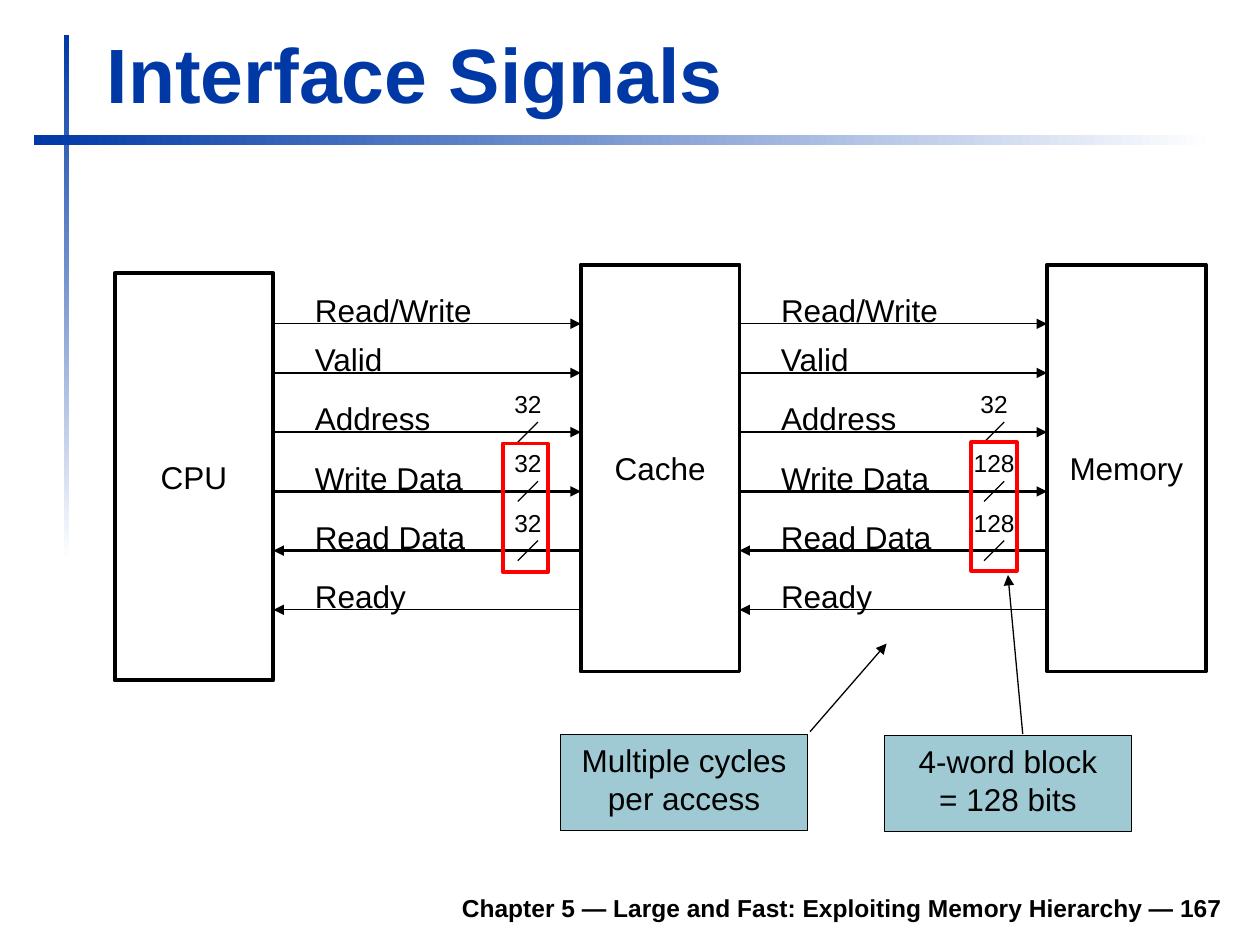
from lxml.etree import SubElement
from pptx import Presentation
from pptx.dml.color import RGBColor
from pptx.enum.shapes import MSO_CONNECTOR as Connector, MSO_SHAPE as Shape
from pptx.enum.text import MSO_ANCHOR as Anchor, MSO_AUTO_SIZE as AutoSize, PP_ALIGN as Align
from pptx.oxml.ns import qn
from pptx.util import Inches, Pt

BLACK, BLUE, WHITE, RED, TEAL = "000000", "0039A6", "FFFFFF", "FF0000", "9FCAD3"

# Grid: blocks stand one pitch apart, buses run in the gaps between them
LEFT, PITCH = 0.91, 3.7
BLOCK_WIDTH, BLOCK_HEIGHT = 1.26, 3.23
BUS_LENGTH = PITCH - BLOCK_WIDTH
VALID_Y, ROW_STEP = 2.96, 0.47

# Name, label width, distance from the Valid row in rows, arrow end, is a wide bus
SIGNALS = [
    ("Read/Write", 1.45, -0.83, "tail", False),
    ("Valid", 0.76, 0, "tail", False),
    ("Address", 1.12, 1, "tail", True),
    ("Write Data", 1.38, 2, "tail", True),
    ("Read Data", 1.4, 3, "head", True),
    ("Ready", 0.92, 4, "head", False),
]
BUS_WIDTHS = [
    {"Address": "32", "Write Data": "32", "Read Data": "32"},
    {"Address": "32", "Write Data": "128", "Read Data": "128"},
]


def color(value):
    return RGBColor.from_string(value)


def write(shape, lines, size, align=Align.LEFT, anchor=Anchor.TOP,
          wrap=True, bold=False, ink=BLACK):
    frame = shape.text_frame
    frame.word_wrap = wrap
    frame.vertical_anchor = anchor
    frame.text = lines
    for paragraph in frame.paragraphs:
        paragraph.alignment = align
        font = paragraph.font
        font.name, font.size, font.bold = "Arial", Pt(size), bold
        font.color.rgb = color(ink)


def add_text(slide, box, text, size, **style):
    shape = slide.shapes.add_textbox(*map(Inches, box))
    write(shape, text, size, **style)
    return shape


def add_label(slide, box, text, size, align=Align.LEFT):
    shape = add_text(slide, box, text, size, align=align, wrap=False)
    shape.text_frame.auto_size = AutoSize.SHAPE_TO_FIT_TEXT


def add_box(slide, box, line=None, width=2.25, fill=None, kind=Shape.RECTANGLE):
    shape = slide.shapes.add_shape(kind, *map(Inches, box))
    shape.shadow.inherit = False
    if fill:
        shape.fill.solid()
        shape.fill.fore_color.rgb = color(fill)
    else:
        shape.fill.background()
    if line:
        shape.line.color.rgb = color(line)
        shape.line.width = Pt(width)
    else:
        shape.line.fill.background()
    return shape


def add_gradient_bar(slide, box, angle):
    fill = add_box(slide, box).fill
    fill.gradient()
    fill.gradient_angle = angle
    for stop, value in zip(fill.gradient_stops, (BLUE, WHITE)):
        stop.color.rgb = color(value)


def add_arrowhead(shape, end):
    SubElement(shape.line._get_or_add_ln(), qn(f"a:{end}End"), type="triangle")


def add_line(slide, start, stop, width=0.75, arrow=None):
    line = slide.shapes.add_connector(Connector.STRAIGHT, *map(Inches, start + stop))
    line.line.color.rgb = color(BLACK)
    line.line.width = Pt(width)
    if arrow:
        add_arrowhead(line, arrow)
    SubElement(line._element.spPr, qn("a:effectLst"))


def add_block(slide, column, top, name):
    box = (LEFT + column * PITCH, top, BLOCK_WIDTH, BLOCK_HEIGHT)
    write(add_box(slide, box, BLACK), name, 18,
          align=Align.CENTER, anchor=Anchor.MIDDLE, wrap=False)


def add_bus(slide, column, bus_widths):
    x = LEFT + column * PITCH + BLOCK_WIDTH
    for name, label_width, row, arrow, wide in SIGNALS:
        y = VALID_Y + row * ROW_STEP
        add_line(slide, (x, y), (x + BUS_LENGTH, y), 1.5 if wide else 0.75, arrow)
        add_label(slide, (x + 0.23, y - 0.31, label_width, 0.4), name, 18)
        if wide:
            bits = bus_widths[name]
            add_line(slide, (x + 1.94, y + 0.08), (x + 2.1, y - 0.08))
            # Side insets plus room for each digit, so the number stays on one line
            width = 0.26 + 0.11 * len(bits)
            add_label(slide, (x + 2.02 - width / 2, y - 0.39, width, 0.33),
                      bits, 14, Align.CENTER)


def add_callout(slide, left, top, text, adjustments):
    shape = add_box(slide, (left, top, 1.96, 0.76), BLACK, 0.75, TEAL,
                    Shape.LINE_CALLOUT_1)
    for index, value in enumerate(adjustments):
        shape.adjustments[index] = value
    add_arrowhead(shape, "tail")
    write(shape, text, 18, align=Align.CENTER)


def main():
    presentation = Presentation()
    presentation.slide_width, presentation.slide_height = Inches(10), Inches(7.5)
    slide = presentation.slides.add_slide(presentation.slide_layouts[6])

    # Frame: gradient rules, footer and title
    add_gradient_bar(slide, (0.51, 0.28, 0.04, 4.17), 270)
    add_gradient_bar(slide, (0.27, 1.07, 9.37, 0.08), 0)
    add_text(slide, (1.85, 6.98, 7.95, 0.39),
             "Chapter 5 — Large and Fast: Exploiting Memory Hierarchy — 167",
             14, align=Align.RIGHT, anchor=Anchor.BOTTOM, bold=True)
    add_text(slide, (0.75, 0.16, 9.03, 0.83), "Interface Signals", 44,
             anchor=Anchor.BOTTOM, bold=True, ink=BLUE)

    # Blocks and the signals between them
    for column, (name, top) in enumerate([("CPU", 2.17), ("Cache", 2.1), ("Memory", 2.1)]):
        add_block(slide, column, top, name)
    for column, bus_widths in enumerate(BUS_WIDTHS):
        add_bus(slide, column, bus_widths)

    # Highlights on the data widths, and callouts
    for left, top in [(7.71, 3.51), (3.99, 3.52)]:
        add_box(slide, (left, top, 0.36, 1.02), RED)
    add_callout(slide, 4.45, 5.83, "Multiple cycles per access", (-0.03, 1.01, -0.95, 1.32))
    add_callout(slide, 7.02, 5.84, "4-word block\n= 128 bits", (-0.02, 0.56, -1.68, 0.5))

    presentation.save("out.pptx")


if __name__ == "__main__":
    main()
